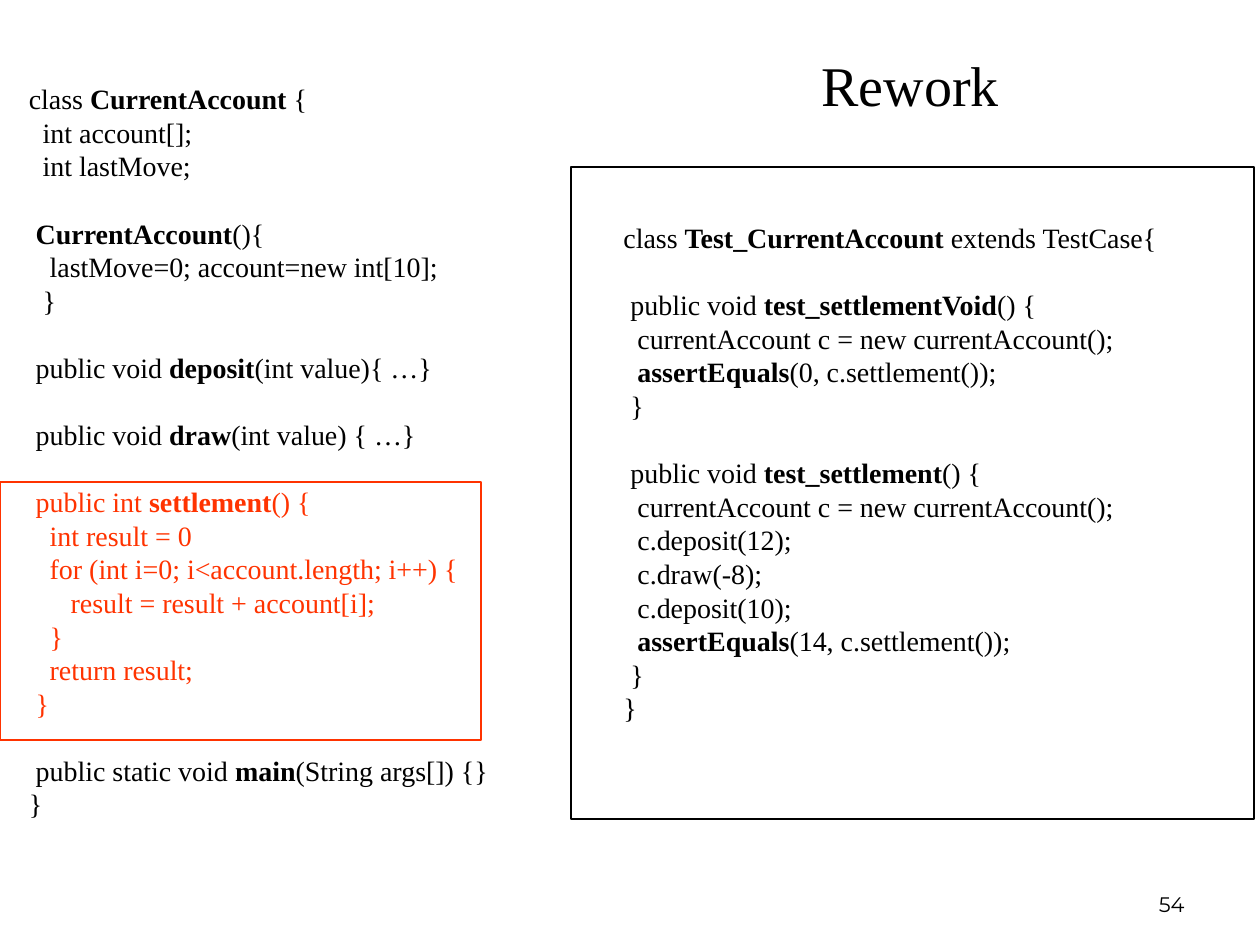
from pptx import Presentation
from pptx.dml.color import RGBColor
from pptx.enum.shapes import MSO_SHAPE
from pptx.enum.text import MSO_ANCHOR, MSO_AUTO_SIZE, PP_ALIGN
from pptx.util import Inches, Pt

WIDE, HIGH = Inches(10), Inches(7.5)
BLACK, RED = "000000", "FF3300"
SERIF = "Times New Roman"
LINE = Pt(19.2)

ACCOUNT = """class **CurrentAccount **{
  int account[];
  int lastMove;

** CurrentAccount**(){
   lastMove=0; account=new int[10];
  }

 public void **deposit**(int value){ …}

 public void **draw**(int value) { …}

 public int **settlement**() {
   int result = 0
   for (int i=0; i<account.length; i++) {
      result = result + account[i];
   }
   return result;
 }

 public static void **main**(String args[]) {}
}"""

TEST = """class **Test_CurrentAccount **extends TestCase{

 public void **test_settlementVoid**() {
  currentAccount c = new currentAccount();
  **assertEquals**(0, c.settlement());
 }

 public void **test_settlement**() {
  currentAccount c = new currentAccount();
  c.deposit(12);
  c.draw(-8);
  c.deposit(10);
  **assertEquals**(14, c.settlement());
 }
}"""


def area(left, top, width, height):
    """Turn shares of the slide's size into a box."""
    return (round(left * WIDE), round(top * HIGH),
            round(width * WIDE), round(height * HIGH))


def style(font, size, hue=BLACK, name=SERIF):
    font.size, font.name = Pt(size), name
    font.color.rgb = RGBColor.from_string(hue)


def add_title(slide, box, text):
    title = slide.shapes.title
    title.left, title.top, title.width, title.height = box
    frame = title.text_frame
    frame.text = text
    frame.vertical_anchor = MSO_ANCHOR.MIDDLE
    para = frame.paragraphs[0]
    para.alignment = PP_ALIGN.CENTER
    para.line_spacing = 0.85
    style(para.font, 32)


def add_code(slide, box, code, marked=range(0)):
    """Set code with **bold** parts; lines numbered in marked are red."""
    frame = slide.shapes.add_textbox(*box).text_frame
    frame.word_wrap = False
    frame.auto_size = MSO_AUTO_SIZE.SHAPE_TO_FIT_TEXT
    para, gap = frame.paragraphs[0], False
    for row, line in enumerate(code.split("\n")):
        if not line:
            gap = True
            continue
        if row:
            para = frame.add_paragraph()
        para.line_spacing = LINE
        if gap:
            para.space_before = LINE
        gap = False
        style(para.font, 16, RED if row in marked else BLACK)
        for part, text in enumerate(line.split("**")):
            if text:
                run = para.add_run()
                run.text = text
                if part % 2:
                    run.font.bold = True


def add_frame(slide, box, hue):
    shape = slide.shapes.add_shape(MSO_SHAPE.RECTANGLE, *box)
    shape.shadow.inherit = False
    shape.fill.background()
    shape.line.color.rgb = RGBColor.from_string(hue)
    shape.line.width = Pt(1)


def add_number(slide, box, text):
    frame = slide.shapes.add_textbox(*box).text_frame
    frame.word_wrap = True
    frame.vertical_anchor = MSO_ANCHOR.BOTTOM
    para = frame.paragraphs[0]
    para.text = text
    para.alignment = PP_ALIGN.RIGHT
    style(para.font, 12, name="Montserrat")


def main():
    deck = Presentation()
    deck.slide_width, deck.slide_height = WIDE, HIGH
    slide = deck.slides.add_slide(deck.slide_layouts[5])
    add_title(slide, area(0.445, 0.03, 0.555, 0.13), "Rework")
    add_code(slide, area(0.013, 0.08, 0.385, 0.8), ACCOUNT, range(12, 19))
    add_code(slide, area(0.485, 0.227, 0.447, 0.55), TEST)
    add_frame(slide, area(0.453, 0.177, 0.542, 0.69), BLACK)
    add_frame(slide, area(0, 0.51, 0.382, 0.273), RED)
    add_number(slide, area(0.717, 0.91, 0.233, 0.067), "54")
    deck.save("out.pptx")


if __name__ == "__main__":
    main()
